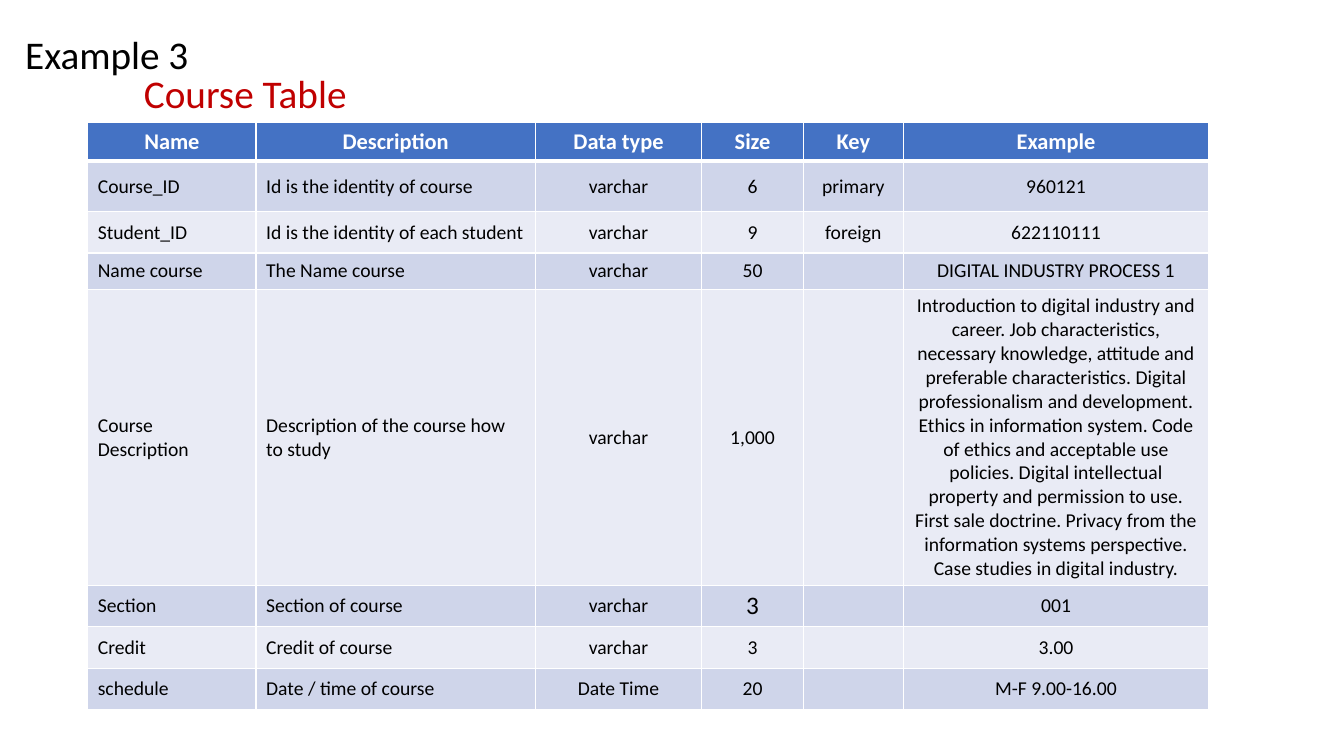
from dataclasses import dataclass

from lxml import etree
from pptx import Presentation
from pptx.dml.color import RGBColor
from pptx.enum.text import MSO_ANCHOR, MSO_AUTO_SIZE, PP_ALIGN
from pptx.oxml.ns import qn
from pptx.util import Pt

LEFT, CENTER = PP_ALIGN.LEFT, PP_ALIGN.CENTER
TOP, MIDDLE = MSO_ANCHOR.TOP, MSO_ANCHOR.MIDDLE
NO_FIT = MSO_AUTO_SIZE.NONE
SCALE = 9144


@dataclass(frozen=True)
class Theme:
    """Colours and type sizes of the slide."""
    font: str = "Calibri"
    ink: str = "000000"
    red: str = "C00000"
    white: str = "FFFFFF"
    head: str = "4472C4"
    bands: tuple = ("CFD5EA", "E9EBF5")
    title: int = 28
    label: int = 16
    body: int = 14
    large: int = 18
    thin: int = 1
    thick: int = 3


THEME = Theme()
COLS = (167, 277, 165, 101, 99, 303)
ROWS = (39, 50, 41, 36, 290, 41, 41, 41)
ALIGNS = (LEFT, LEFT, CENTER, CENTER, CENTER, CENTER)
LARGE_CELL = (5, 3)
SYLLABUS = (
    "Introduction to digital industry and career. Job characteristics, "
    "necessary knowledge, attitude and preferable characteristics. "
    "Digital professionalism and development. Ethics in information system. "
    "Code of ethics and acceptable use policies. Digital intellectual "
    "property and permission to use. First sale doctrine. Privacy from the "
    "information systems perspective. Case studies in digital industry."
)
FIELDS = (
    ("Name", "Description", "Data type", "Size", "Key", "Example"),
    ("Course_ID", "Id is the identity of course", "varchar", "6", "primary", "960121"),
    ("Student_ID", "Id is the identity of each student", "varchar", "9", "foreign", "622110111"),
    ("Name course", "The Name course", "varchar", "50", "", "DIGITAL INDUSTRY PROCESS 1"),
    ("Course Description", "Description of the course how to study", "varchar", "1,000", "", SYLLABUS),
    ("Section", "Section of course", "varchar", "3", "", "001"),
    ("Credit", "Credit of course", "varchar", "3", "", "3.00"),
    ("schedule", "Date / time of course", "Date Time", "20", "", "M-F 9.00-16.00"),
)


def px(size):
    """Turn px into EMU."""
    return size * SCALE


def write(frame, text, size, color, align=LEFT, bold=False):
    """Fill a text frame with one formatted paragraph."""
    frame.text = text
    para = frame.paragraphs[0]
    para.alignment = align
    for item in (para, *para.runs):
        item.font.name = THEME.font
        item.font.size = Pt(size)
        item.font.bold = bold
        item.font.color.rgb = RGBColor.from_string(color)


def add_heading(shape, box, text, color):
    """Place a heading shape in its box and write its text."""
    shape.left, shape.top, shape.width, shape.height = map(px, box)
    frame = shape.text_frame
    frame.word_wrap = True
    frame.auto_size = NO_FIT
    frame.vertical_anchor = TOP
    write(frame, text, THEME.title, color)
    frame.paragraphs[0].line_spacing = 1.0


def set_edges(cell, top, bottom):
    """Draw white borders round a cell, with given top and bottom widths."""
    props = cell._tc.get_or_add_tcPr()
    for side, width in (("L", THEME.thin), ("R", THEME.thin), ("T", top), ("B", bottom)):
        line = etree.SubElement(props, qn(f"a:ln{side}"), w=str(Pt(width)))
        fill = etree.SubElement(line, qn("a:solidFill"))
        etree.SubElement(fill, qn("a:srgbClr"), val=THEME.white)


def style_cell(cell, row, col):
    """Write and format the cell at a given row and column."""
    head = row == 0
    set_edges(cell, THEME.thick if row == 1 else THEME.thin, THEME.thick if head else THEME.thin)
    cell.fill.solid()
    cell.fill.fore_color.rgb = RGBColor.from_string(
        THEME.head if head else THEME.bands[(row - 1) % 2])
    cell.vertical_anchor = MIDDLE
    size = THEME.label if head else THEME.body
    if (row, col) == LARGE_CELL:
        size = THEME.large
    write(cell.text_frame, FIELDS[row][col], size, THEME.white if head else THEME.ink,
          CENTER if head else ALIGNS[col], head)


def add_fields(slide, left, top):
    """Add the table of course fields at a given corner."""
    box = map(px, (left, top, sum(COLS), sum(ROWS)))
    table = slide.shapes.add_table(len(ROWS), len(COLS), *box).table
    for col, width in enumerate(COLS):
        table.columns[col].width = px(width)
    for row, height in enumerate(ROWS):
        table.rows[row].height = px(height)
        for col in range(len(COLS)):
            style_cell(table.cell(row, col), row, col)


def add_course(deck):
    """Add the slide with its title, table and caption."""
    slide = deck.slides.add_slide(deck.slide_layouts[5])
    add_heading(slide.shapes.title, (15, 25, 327, 57), "Example 3", THEME.ink)
    add_fields(slide, 87, 121)
    box = (133, 64, 303, 57)
    add_heading(slide.shapes.add_textbox(*map(px, box)), box, "Course Table", THEME.red)


def main():
    """Build and save the deck."""
    deck = Presentation()
    deck.slide_width, deck.slide_height = px(1333), px(750)
    add_course(deck)
    deck.save("out.pptx")


if __name__ == "__main__":
    main()
